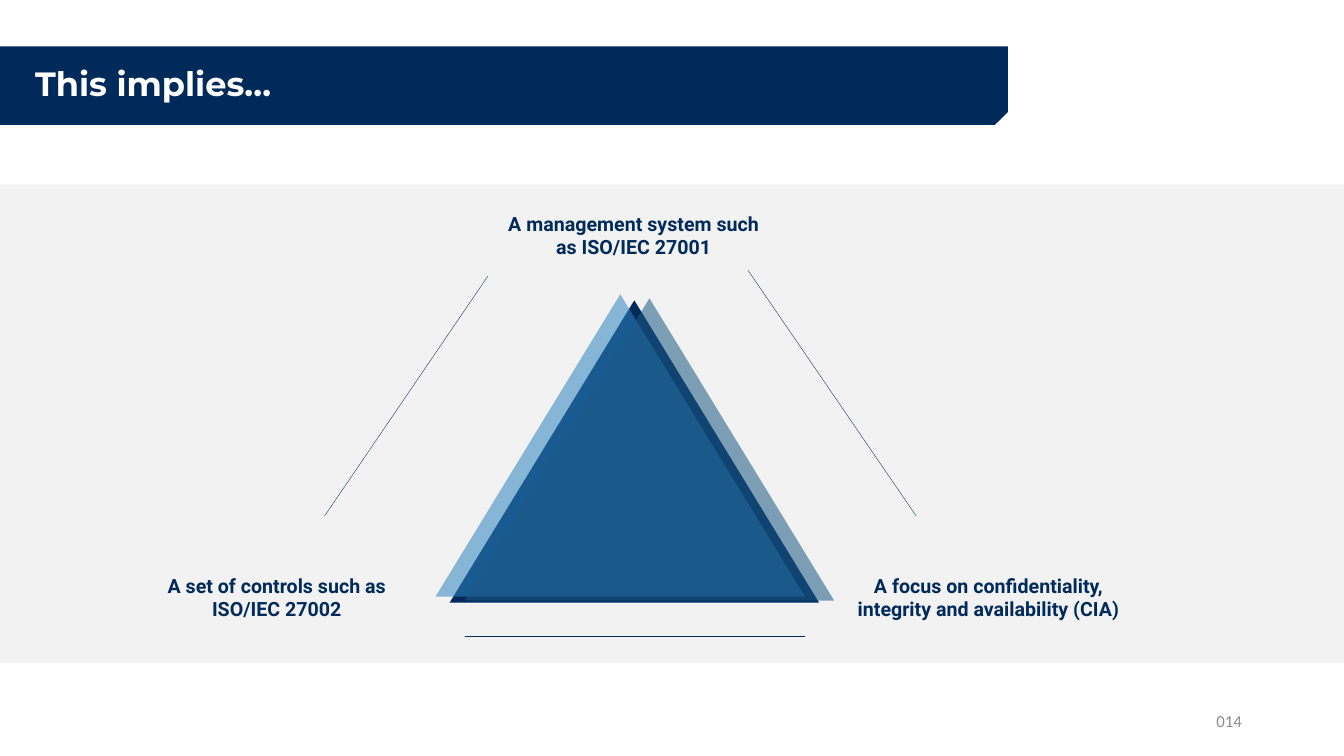
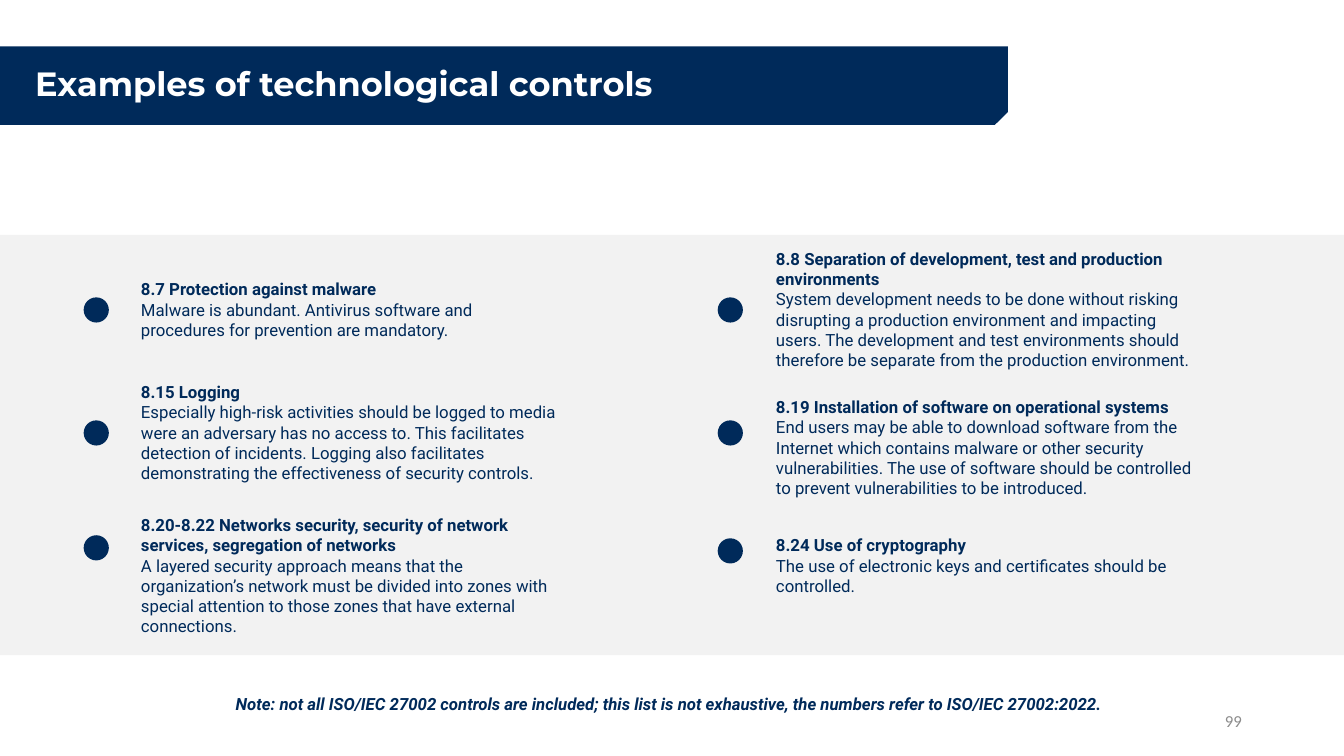
"""Build two slides on information security controls."""
from dataclasses import dataclass

from lxml.etree import SubElement
from pptx import Presentation
from pptx.dml.color import RGBColor
from pptx.enum.shapes import MSO_CONNECTOR, MSO_SHAPE
from pptx.enum.text import MSO_ANCHOR, PP_ALIGN
from pptx.oxml.ns import qn
from pptx.shapes.autoshape import Shape
from pptx.slide import Slide
from pptx.text.text import TextFrame, _Paragraph
from pptx.util import Pt

COLORS = {
    "navy": "002A5A",
    "sky": "2E84BF",
    "steel": "1C5984",
    "panel": "F2F2F2",
    "white": "FFFFFF",
    "grey": "8C8C8C",
}
SLIDE_WIDTH, SLIDE_HEIGHT = 960, 540
DOT_SIZE = 18
CONTROL_WIDTH = 312


@dataclass(frozen=True)
class Box:
    left: float
    top: float
    width: float
    height: float


@dataclass(frozen=True)
class TextStyle:
    font: str = "Roboto"
    size: float = 12
    color: str = "navy"
    bold: bool = False
    italic: bool = False
    align: PP_ALIGN = PP_ALIGN.LEFT


@dataclass(frozen=True)
class Corner:
    text: str
    left: float
    top: float


@dataclass(frozen=True)
class Triangle:
    left: float
    top: float
    color: str
    opacity: int = 100


@dataclass(frozen=True)
class Edge:
    start: tuple[float, float]
    end: tuple[float, float]


@dataclass(frozen=True)
class Control:
    heading: str
    detail: str
    top: float
    height: float
    dot_top: float


@dataclass(frozen=True)
class Column:
    dot_left: float
    text_left: float
    controls: tuple[Control, ...]


TITLE_BAND = Box(0, 33.12, 720, 56.16)
TITLE_TEXT = Box(18, 33.12, 684, 56.16)
PAGE_NUMBER = Box(678.24, 500.4, 216, 28.8)
NOTE = Box(161.28, 491.76, 647.28, 21.6)

TITLE = TextStyle("Montserrat", 24, "white", bold=True)
NUMBER = TextStyle("Calibri", color="grey", align=PP_ALIGN.RIGHT)
CORNER = TextStyle(size=14, bold=True, align=PP_ALIGN.CENTER)
HEADING = TextStyle(bold=True)
DETAIL = TextStyle()
REMARK = TextStyle(bold=True, italic=True)

CORNERS = (
    Corner("A management system such as ISO/IEC 27001", 350.64, 147.6),
    Corner("A set of controls such as ISO/IEC 27002", 95.76, 406.08),
    Corner("A focus on confidentiality, integrity and availability (CIA)", 604.08, 406.08),
)
TRIANGLES = (
    Triangle(321.12, 214.56, "navy"),
    Triangle(311.04, 210.24, "sky", 55),
    Triangle(331.92, 213.12, "steel", 55),
)
EDGES = (
    Edge((231.84, 368.64), (348.48, 197.28)),
    Edge((654.48, 368.64), (534.24, 192.96)),
    Edge((575.28, 454.32), (331.92, 454.32)),
)
COLUMNS = (
    Column(59.76, 93.6, (
        Control(
            "8.7 Protection against malware",
            "Malware is abundant. Antivirus software and procedures for prevention "
            "are mandatory.",
            195.84, 51, 212.4,
        ),
        Control(
            "8.15 Logging",
            "Especially high-risk activities should be logged to media were an adversary "
            "has no access to. This facilitates detection of incidents. Logging also "
            "facilitates demonstrating the effectiveness of security controls.",
            269.28, 80, 300.24,
        ),
        Control(
            "8.20-8.22 Networks security, security of network services, "
            "segregation of networks",
            "A layered security approach means that the organization’s network must be "
            "divided into zones with special attention to those zones that have external "
            "connections.",
            364.32, 94, 382.32,
        ),
    )),
    Column(512.64, 547.2, (
        Control(
            "8.8 Separation of development, test and production environments",
            "System development needs to be done without risking disrupting a production "
            "environment and impacting users. The development and test environments should "
            "therefore be separate from the production environment.",
            174.24, 94, 212.4,
        ),
        Control(
            "8.19 Installation of software on operational systems",
            "End users may be able to download software from the Internet which contains "
            "malware or other security vulnerabilities. The use of software should be "
            "controlled to prevent vulnerabilities to be introduced.",
            280.08, 80, 300.24,
        ),
        Control(
            "8.24 Use of cryptography",
            "The use of electronic keys and certificates should be controlled.",
            378.72, 65, 384.48,
        ),
    )),
)


def rgb(color: str) -> RGBColor:
    """Return the named colour."""
    return RGBColor.from_string(COLORS[color])


def add_filled(slide: Slide, preset: MSO_SHAPE, box: Box, color: str,
               opacity: int = 100) -> Shape:
    """Add a borderless shape with a plain fill."""
    shape = slide.shapes.add_shape(
        preset, Pt(box.left), Pt(box.top), Pt(box.width), Pt(box.height))
    shape.shadow.inherit = False
    shape.line.fill.background()
    shape.fill.solid()
    shape.fill.fore_color.rgb = rgb(color)
    if opacity < 100:
        fill_color = shape.element.spPr.find(qn("a:solidFill"))[0]
        SubElement(fill_color, qn("a:alpha")).set("val", str(opacity * 1000))
    return shape


def write(paragraph: _Paragraph, text: str, style: TextStyle) -> None:
    """Write styled text into a paragraph."""
    paragraph.text = text
    paragraph.alignment = style.align
    for run in paragraph.runs:
        run.font.name = style.font
        run.font.size = Pt(style.size)
        run.font.bold = style.bold
        run.font.italic = style.italic
        run.font.color.rgb = rgb(style.color)


def add_text(slide: Slide, box: Box, text: str, style: TextStyle,
             anchor: MSO_ANCHOR = MSO_ANCHOR.TOP) -> TextFrame:
    """Add a wrapping text box with one paragraph."""
    frame = slide.shapes.add_textbox(
        Pt(box.left), Pt(box.top), Pt(box.width), Pt(box.height)).text_frame
    frame.word_wrap = True
    frame.vertical_anchor = anchor
    write(frame.paragraphs[0], text, style)
    return frame


def add_edge(slide: Slide, edge: Edge) -> None:
    """Add a hairline along one side of the triangle."""
    line = slide.shapes.add_connector(
        MSO_CONNECTOR.STRAIGHT, *map(Pt, edge.start + edge.end))
    line.line.color.rgb = rgb("navy")
    line.line.width = Pt(0.25)
    SubElement(line.element.spPr, qn("a:effectLst"))


def add_control(slide: Slide, column: Column, control: Control) -> None:
    """Add a dot with the heading and detail of a control."""
    add_filled(slide, MSO_SHAPE.OVAL,
               Box(column.dot_left, control.dot_top, DOT_SIZE, DOT_SIZE), "navy")
    box = Box(column.text_left, control.top, CONTROL_WIDTH, control.height)
    frame = add_text(slide, box, control.heading, HEADING)
    write(frame.add_paragraph(), control.detail, DETAIL)


def add_base(deck: Presentation, title: str, number: str,
             panel_top: float, panel_height: float) -> Slide:
    """Add a slide with its panel, title band and page number."""
    slide = deck.slides.add_slide(deck.slide_layouts[6])
    add_filled(slide, MSO_SHAPE.RECTANGLE,
               Box(0, panel_top, SLIDE_WIDTH, panel_height), "panel")
    band = add_filled(slide, MSO_SHAPE.SNIP_ROUND_RECTANGLE, TITLE_BAND, "navy")
    band.adjustments[0] = 0
    band.adjustments[1] = 0.167
    band.element.spPr.find(qn("a:xfrm")).set("flipV", "1")
    frame = add_text(slide, TITLE_TEXT, title, TITLE, MSO_ANCHOR.MIDDLE)
    frame.paragraphs[0].line_spacing = 0.9
    add_text(slide, PAGE_NUMBER, number, NUMBER, MSO_ANCHOR.MIDDLE)
    return slide


def build_implications(deck: Presentation) -> None:
    """Build the slide with the triangle."""
    slide = add_base(deck, "This implies…", "014", 131.76, 342)
    for corner in CORNERS:
        add_text(slide, Box(corner.left, corner.top, 204, 41), corner.text, CORNER)
    for triangle in TRIANGLES:
        add_filled(slide, MSO_SHAPE.ISOSCELES_TRIANGLE,
                   Box(triangle.left, triangle.top, 264, 216),
                   triangle.color, triangle.opacity)
    for edge in EDGES:
        add_edge(slide, edge)


def build_controls(deck: Presentation) -> None:
    """Build the slide with the technological controls."""
    slide = add_base(deck, "Examples of technological controls", "99", 167.76, 300.24)
    for column in COLUMNS:
        for control in column.controls:
            add_control(slide, column, control)
    note = add_text(
        slide, NOTE,
        "Note: not all ISO/IEC 27002 controls are included; this list is not exhaustive, "
        "the numbers refer to ISO/IEC 27002:2022.", REMARK)
    note.word_wrap = False


def main() -> None:
    """Build and save the presentation."""
    deck = Presentation()
    deck.slide_width, deck.slide_height = Pt(SLIDE_WIDTH), Pt(SLIDE_HEIGHT)
    build_implications(deck)
    build_controls(deck)
    deck.save("out.pptx")


if __name__ == "__main__":
    main()
